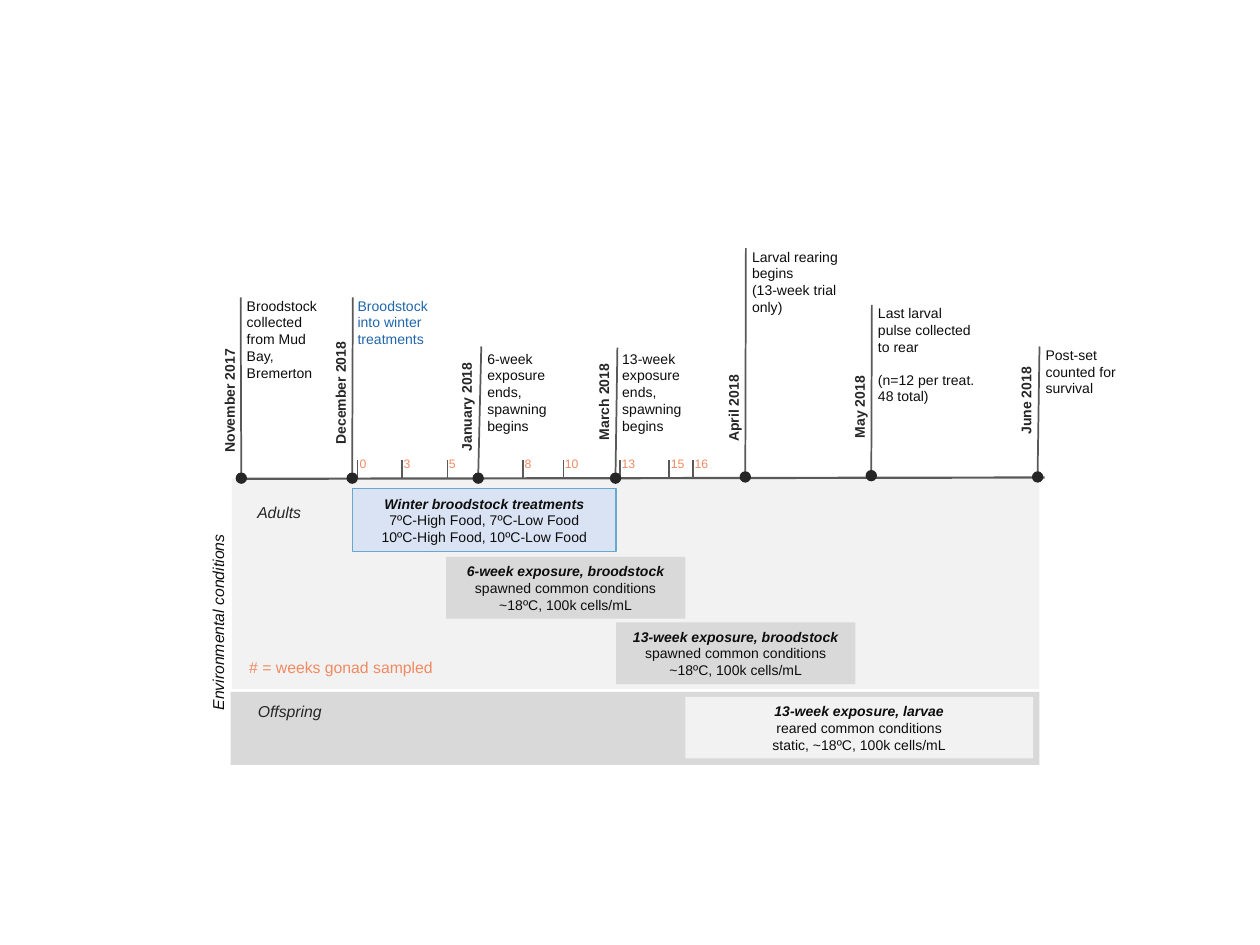
from lxml import etree
from pptx import Presentation
from pptx.dml.color import RGBColor
from pptx.enum.shapes import MSO_CONNECTOR, MSO_SHAPE
from pptx.enum.text import MSO_ANCHOR, PP_ALIGN
from pptx.oxml.ns import qn
from pptx.util import Inches, Pt

RECTANGLE, OVAL = MSO_SHAPE.RECTANGLE, MSO_SHAPE.OVAL
STRAIGHT = MSO_CONNECTOR.STRAIGHT
LEFT, CENTER = PP_ALIGN.LEFT, PP_ALIGN.CENTER
TOP, MIDDLE = MSO_ANCHOR.TOP, MSO_ANCHOR.MIDDLE

INK = RGBColor(0x0D, 0x0D, 0x0D)
DARK = RGBColor(0x26, 0x26, 0x26)
LINE = RGBColor(0x59, 0x59, 0x59)
BLUE = RGBColor(0x20, 0x66, 0xAC)
ORANGE = RGBColor(0xF0, 0x8A, 0x62)
PALE = RGBColor(0xF2, 0xF2, 0xF2)
GRAY = RGBColor(0xD9, 0xD9, 0xD9)
ICE = RGBColor(0xDA, 0xE3, 0xF3)
SKY = RGBColor(0x66, 0xA9, 0xCF)

COLUMNS, ROWS = 100, 75
CELL = Inches(0.1)
DOT = 0.9

MILESTONES = [
    ("November 2017", (19.15, 37.95), (19.1, 23.6), 31.8, (18.6, 23.1, 8.1, 7.7), INK,
     ["Broodstock collected from Mud Bay, Bremerton"]),
    ("December 2018", (27.95, 37.95), (28, 23.6), 31.2, (27.4, 23.1, 7.7, 5), BLUE,
     ["Broodstock into winter treatments"]),
    ("January 2018", (37.95, 37.95), (38.2, 27.5), 32.3, (37.7, 27.3, 8.7, 7.7), INK,
     ["6-week exposure ends, spawning begins"]),
    ("March 2018", (48.85, 37.95), (49, 27.6), 31.9, (48.4, 27.3, 7.3, 7.7), INK,
     ["13-week exposure ends, spawning begins"]),
    ("April 2018", (59.15, 37.85), (59.2, 19.7), 32.4, (58.7, 19.2, 9.2, 6.4), INK,
     ["Larval rearing begins", "(13-week trial only)"]),
    ("May 2018", (69.15, 37.75), (69.2, 24.2), 32.3, (68.7, 23.7, 10, 9.1), INK,
     ["Last larval pulse collected to rear", "(n=12 per treat.", "48 total)"]),
    ("June 2018", (82.35, 37.85), (82.5, 27.5), 31.8, (82, 27, 8.2, 5), INK,
     ["Post-set counted for survival"]),
]
SAMPLED_WEEKS = {0: 28.4, 3: 31.9, 5: 35.5, 8: 41.5, 10: 44.7, 13: 49.2, 15: 53.1, 16: 55}
PANELS = [((18.4, 38, 64.1, 16.7), PALE), ((18.3, 54.9, 64.2, 5.8), GRAY)]
PANEL_LABELS = [((18.4, 39.4, 7.5, 2.5), PALE, "Adults"),
                ((18.6, 55.2, 8.8, 2.5), GRAY, "Offspring")]
SPAWNED = ["spawned common conditions", "~18ºC, 100k cells/mL"]
TREATMENTS = [
    ((28, 38.8, 20.9, 5), ICE, SKY, "Winter broodstock treatments",
     ["7ºC-High Food, 7ºC-Low Food", "10ºC-High Food, 10ºC-Low Food"]),
    ((35.4, 44.2, 19, 4.9), GRAY, None, "6-week exposure, broodstock", SPAWNED),
    ((48.9, 49.4, 19, 4.9), GRAY, None, "13-week exposure, broodstock", SPAWNED),
    ((54.4, 55.3, 27.6, 4.9), PALE, None, "13-week exposure, larvae",
     ["reared common conditions", "static, ~18ºC, 100k cells/mL"]),
]


def grid(*cells):
    """Turn grid columns and rows into slide lengths."""
    return [round(cell * CELL) for cell in cells]


def add_line(page, start, end, width):
    """Draw a straight line between two grid points."""
    line = page.shapes.add_connector(STRAIGHT, *grid(*start, *end))
    line.line.color.rgb = LINE
    line.line.width = Pt(width)
    etree.SubElement(line.element.spPr, qn("a:effectLst"))


def add_box(page, area, fill, outline=None, kind=RECTANGLE):
    """Draw a filled shape on a grid area."""
    box = page.shapes.add_shape(kind, *grid(*area))
    box.shadow.inherit = False
    box.fill.solid()
    box.fill.fore_color.rgb = fill
    if outline is None:
        box.line.fill.background()
    else:
        box.line.color.rgb = outline
        box.line.width = Pt(0.75)
    return box


def write(box, lines, size, color, align=LEFT, anchor=TOP, bold=False, italic=False):
    """Add one paragraph for each line and return the paragraphs."""
    frame = box.text_frame
    frame.word_wrap = True
    frame.vertical_anchor = anchor
    for index, line in enumerate(lines):
        para = frame.add_paragraph() if index else frame.paragraphs[0]
        para.alignment = align
        span = para.add_run()
        span.text = line
        font = span.font
        font.name, font.size, font.color.rgb = "Arial", Pt(size), color
        font.bold, font.italic = bold, italic
    return frame.paragraphs


def add_text(page, area, lines, size, color):
    """Place left-aligned text on a grid area."""
    return write(page.shapes.add_textbox(*grid(*area)), lines, size, color)


def add_upright(page, center, length, text, size, color, **style):
    """Place one line of text that reads upwards around a grid point."""
    column, row = center
    height = 2.4
    area = grid(column - length / 2, row - height / 2, length, height)
    box = page.shapes.add_textbox(*area)
    box.rotation = 270
    write(box, [text], size, color, CENTER, **style)
    box.text_frame.word_wrap = False


def add_milestone(page, date, dot, top, date_row, note_area, color, note):
    """Draw a stem with its dot, upright date and note."""
    column, row = dot
    add_line(page, dot, top, 1)
    add_box(page, (column - DOT / 2, row - DOT / 2, DOT, DOT), DARK, kind=OVAL)
    add_upright(page, (column - 0.9, date_row), 11, date, 8, DARK, bold=True)
    paras = add_text(page, note_area, note, 8, color)
    if len(paras) > 2:
        paras[1].space_before = Pt(9.2)


def add_sample(page, week, column):
    """Draw a tick with the number of a sampled week."""
    add_line(page, (column, 36.5), (column, 37.9), 0.75)
    add_text(page, (column - 0.85, 35.75, 3.2, 2.2), [str(week)], 7, ORANGE)


def add_treatment(page, area, fill, outline, title, details):
    """Draw a treatment bar with an emphasised first line."""
    box = add_box(page, area, fill, outline)
    paras = write(box, [title, *details], 8, INK, CENTER, MIDDLE)
    font = paras[0].runs[0].font
    font.bold = font.italic = True


def main():
    """Build the timeline slide."""
    deck = Presentation()
    deck.slide_width, deck.slide_height = grid(COLUMNS, ROWS)
    page = deck.slides.add_slide(deck.slide_layouts[6])
    for area, fill in PANELS:
        add_box(page, area, fill)
    for area, fill, label in PANEL_LABELS:
        write(add_box(page, area, fill), [label], 9, DARK, CENTER, italic=True)
    add_line(page, (19.1, 38), (82.9, 37.9), 1.25)
    for week, column in SAMPLED_WEEKS.items():
        add_sample(page, week, column)
    for milestone in MILESTONES:
        add_milestone(page, *milestone)
    for treatment in TREATMENTS:
        add_treatment(page, *treatment)
    add_upright(page, (17.25, 49.4), 23.7, "Environmental conditions", 9, INK, italic=True)
    add_text(page, (18.8, 51.7, 19.6, 2.5), ["# = weeks gonad sampled"], 9, ORANGE)
    deck.save("out.pptx")


main()
